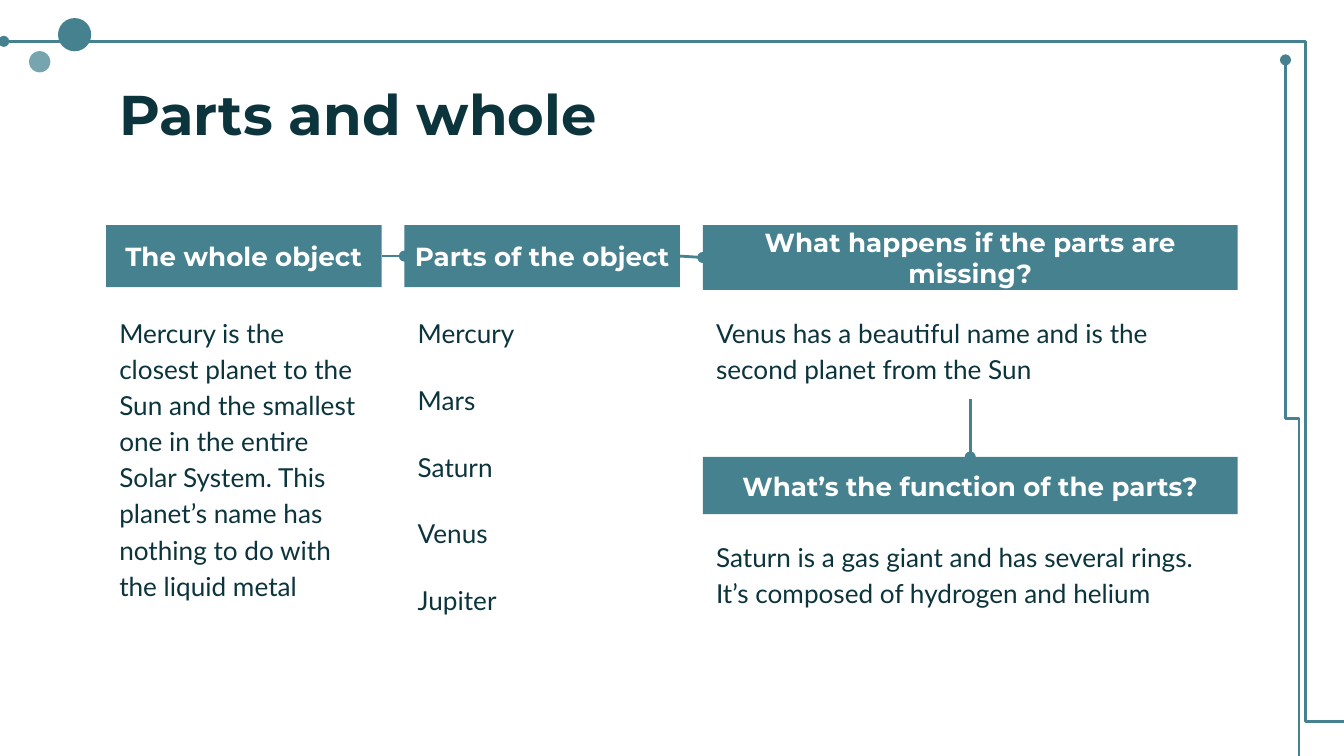
from lxml.etree import SubElement
from pptx import Presentation
from pptx.dml.color import RGBColor
from pptx.enum.shapes import MSO_CONNECTOR, MSO_SHAPE
from pptx.enum.text import MSO_ANCHOR, PP_ALIGN
from pptx.oxml.ns import qn
from pptx.util import Pt

TEAL = RGBColor(0x45, 0x81, 0x8E)
LIGHT_TEAL = RGBColor(0x76, 0xA5, 0xAF)
INK = RGBColor(0x0C, 0x34, 0x3D)
WHITE = RGBColor(0xFF, 0xFF, 0xFF)

TOP, LEFT, BOTTOM = 0, 1, 2
RIGHT = 3


def write_text(shape, text, *, font="Lato", size=14, color=INK, bold=False,
               align=PP_ALIGN.LEFT, anchor=MSO_ANCHOR.TOP, spacing=None,
               side_inset=7.2):
    frame = shape.text_frame
    frame.word_wrap = True
    frame.vertical_anchor = anchor
    frame.margin_left = frame.margin_right = Pt(side_inset)
    frame.margin_top = frame.margin_bottom = Pt(7.2)
    paragraph = frame.paragraphs[0]
    paragraph.alignment = align
    if spacing:
        paragraph.line_spacing = spacing
    run = paragraph.add_run()
    run.text = text
    run.font.name = font
    run.font.size = Pt(size)
    run.font.bold = bold
    run.font.color.rgb = color


class SlideBuilder:
    heading_font = "Montserrat"
    line_width = 1.5

    def __init__(self, slide):
        self.shapes = slide.shapes

    def filled(self, kind, x, y, width, height, color):
        shape = self.shapes.add_shape(kind, Pt(x), Pt(y), Pt(width), Pt(height))
        shape.shadow.inherit = False
        shape.fill.solid()
        shape.fill.fore_color.rgb = color
        shape.line.fill.background()
        return shape

    def dot(self, x, y, diameter, color):
        return self.filled(MSO_SHAPE.OVAL, x, y, diameter, diameter, color)

    def bar(self, text, x, y, width, height, side_inset=7.2):
        bar = self.filled(MSO_SHAPE.RECTANGLE, x, y, width, height, TEAL)
        write_text(bar, text, font=self.heading_font, color=WHITE, bold=True,
                   align=PP_ALIGN.CENTER, anchor=MSO_ANCHOR.MIDDLE,
                   side_inset=side_inset)
        return bar

    def title(self, text, x, y, width, height):
        box = self.shapes.add_textbox(Pt(x), Pt(y), Pt(width), Pt(height))
        write_text(box, text, font=self.heading_font, size=30, bold=True)

    def body(self, text, x, y, width, height):
        box = self.shapes.add_textbox(Pt(x), Pt(y), Pt(width), Pt(height))
        write_text(box, text, spacing=1.15)
        return box

    def line(self, kind, x1=0, y1=0, x2=0, y2=0):
        line = self.shapes.add_connector(kind, Pt(x1), Pt(y1), Pt(x2), Pt(y2))
        line.line.color.rgb = TEAL
        line.line.width = Pt(self.line_width)
        properties = line._element.spPr
        SubElement(properties.find(qn("a:ln")), qn("a:tailEnd"), type="oval")
        SubElement(properties, qn("a:effectLst"))
        return line

    def link(self, start, start_side, end, end_side):
        line = self.line(MSO_CONNECTOR.STRAIGHT)
        line.begin_connect(start, start_side)
        line.end_connect(end, end_side)

    def elbow(self, x1, y1, x2, y2, bend=0.5, rotation=0):
        properties = self.line(MSO_CONNECTOR.ELBOW, x1, y1, x2, y2)._element.spPr
        guides = properties.find(qn("a:prstGeom")).find(qn("a:avLst"))
        SubElement(guides, qn("a:gd"), name="adj1",
                   fmla=f"val {round(bend * 100000)}")
        if rotation:
            properties.find(qn("a:xfrm")).set("rot", str(rotation * 60000))


def main():
    presentation = Presentation()
    presentation.slide_width, presentation.slide_height = Pt(720), Pt(405)
    builder = SlideBuilder(
        presentation.slides.add_slide(presentation.slide_layouts[6]))

    # Frame decoration
    builder.dot(15.6, 27.4, 11.4, LIGHT_TEAL)
    builder.dot(31.1, 9.7, 17.8, TEAL)
    builder.elbow(723, 386.4, 2, 22.2, bend=0.033)
    # Turned about its centre so that it starts and ends vertically
    builder.elbow(884.2, 220.4, 500.4, 227.6, rotation=90)

    # Column grid
    column, gap, wide = 147.6, 12.25, 286.6
    whole_x = 56.8
    parts_x = whole_x + column + gap
    effects_x = parts_x + column + gap
    bar_y, bar_height, body_y = 120.6, 33.2, 160.5
    two_lines, one_line = 53.5, 31

    builder.title("Parts and whole", whole_x, 35.3, 607, 45.4)

    # Body texts
    builder.body("Mercury is the closest planet to the Sun and the smallest one "
                 "in the entire Solar System. This planet’s name has nothing to "
                 "do with the liquid metal", whole_x, body_y, column, 173.5)
    missing_text = builder.body(
        "Venus has a beautiful name and is the second planet from the Sun",
        effects_x, body_y, wide, two_lines)
    builder.body("Saturn is a gas giant and has several rings. It’s composed of "
                 "hydrogen and helium", effects_x, 280.5, wide, two_lines)
    planets = ["Mercury", "Mars", "Saturn", "Venus", "Jupiter"]
    for row, planet in enumerate(planets):
        builder.body(planet, parts_x, body_y + row * 35.7, column, one_line)

    # Heading bars
    whole = builder.bar("The whole object", whole_x, bar_y, column, bar_height)
    parts = builder.bar("Parts of the object", parts_x, bar_y, column,
                        bar_height, side_inset=4.3)
    missing = builder.bar("What happens if the parts are missing?", effects_x,
                          bar_y, wide, 34.7, side_inset=0)
    function = builder.bar("What’s the function of the parts?", effects_x,
                           244.8, wide, 30.7)

    # Links between the parts
    builder.link(whole, RIGHT, parts, LEFT)
    builder.link(parts, RIGHT, missing, LEFT)
    builder.link(missing_text, BOTTOM, function, TOP)

    presentation.save("out.pptx")


if __name__ == "__main__":
    main()
